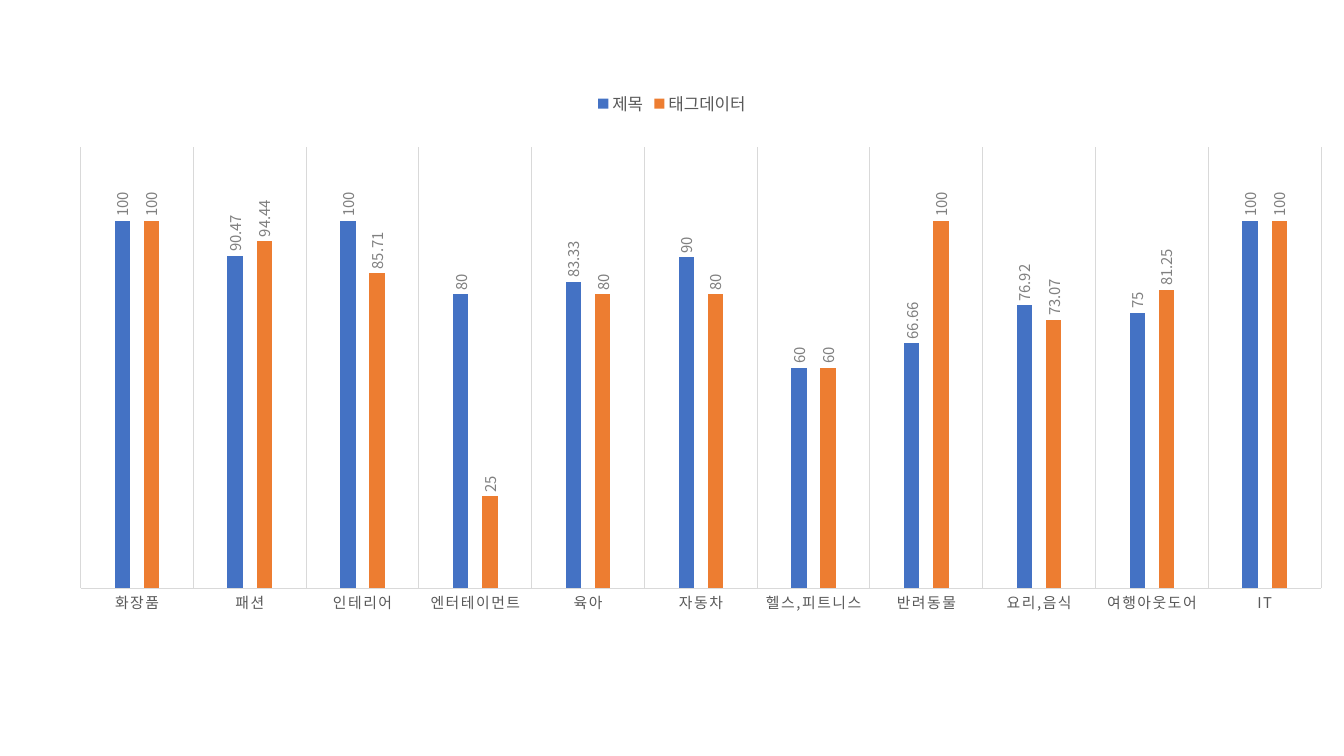
from pptx import Presentation
from pptx.chart.data import CategoryChartData
from pptx.dml.color import RGBColor
from pptx.enum.chart import XL_CHART_TYPE, XL_LABEL_POSITION, XL_LEGEND_POSITION, XL_TICK_MARK
from pptx.oxml import parse_xml
from pptx.oxml.ns import nsdecls, qn
from pptx.util import Inches, Pt

CATEGORIES = ["화장품", "패션", "인테리어", "엔터테이먼트", "육아", "자동차",
              "헬스,피트니스", "반려동물", "요리,음식", "여행아웃도어", "IT"]
BLUE = RGBColor(0x44, 0x72, 0xC4)
ORANGE = RGBColor(0xED, 0x7D, 0x31)
SERIES = [
    ("제목", BLUE, [100, 90.47, 100, 80, 83.33, 90, 60, 66.66, 76.92, 75, 100]),
    ("태그데이터", ORANGE, [100, 94.44, 85.71, 25, 80, 80, 60, 100, 73.07, 81.25, 100]),
]
PLOT_AREA = {"x": 0.06, "y": 0.113, "w": 0.923, "h": 0.738}

FONT = "Noto Sans CJK KR"
BLACK = RGBColor(0, 0, 0)
DARK_GRAY = RGBColor(0x59, 0x59, 0x59)
MID_GRAY = RGBColor(0x80, 0x80, 0x80)
LIGHT_GRAY = RGBColor(0xD9, 0xD9, 0xD9)
CLUSTERED = XL_CHART_TYPE.COLUMN_CLUSTERED
OUTSIDE_END = XL_LABEL_POSITION.OUTSIDE_END
TOP = XL_LEGEND_POSITION.TOP
NO_TICK = XL_TICK_MARK.NONE


def set_font(font, size, color):
    font.name = FONT
    font.size = Pt(size)
    font.bold = False
    font.color.rgb = color


def set_line(line):
    line.color.rgb = LIGHT_GRAY
    line.width = Pt(0.75)


def place_plot(chart):
    area = chart._chartSpace.chart.plotArea
    for old in area.findall(qn("c:layout")):
        area.remove(old)
    modes = '<c:xMode val="edge"/><c:yMode val="edge"/>'
    sizes = "".join(f'<c:{k} val="{v}"/>' for k, v in PLOT_AREA.items())
    area.insert(0, parse_xml(
        f'<c:layout {nsdecls("c")}><c:manualLayout><c:layoutTarget val="inner"/>'
        f'{modes}{sizes}</c:manualLayout></c:layout>'))


def style_series(series, color):
    series.format.fill.solid()
    series.format.fill.fore_color.rgb = color
    series.invert_if_negative = False
    labels = series.data_labels
    labels.show_value = True
    labels.position = OUTSIDE_END
    set_font(labels.font, 10.6, MID_GRAY)
    body = next(labels._element.iter(qn("a:bodyPr")))
    body.set("rot", "-5400000")
    body.set("vert", "horz")


def style_axes(chart):
    axis = chart.category_axis
    axis.has_major_gridlines = True
    axis.major_tick_mark = axis.minor_tick_mark = NO_TICK
    set_line(axis.major_gridlines.format.line)
    set_line(axis.format.line)
    set_font(axis.tick_labels.font, 10.6, DARK_GRAY)
    next(axis._element.iter(qn("a:defRPr"))).set("spc", "120")
    values = chart.value_axis
    values.minimum_scale, values.maximum_scale = 0, 120
    values.has_major_gridlines = False
    values.visible = False


prs = Presentation()
prs.slide_width, prs.slide_height = Inches(13.33), Inches(7.5)
s = prs.slides.add_slide(prs.slide_layouts[6])

data = CategoryChartData()
data.categories = CATEGORIES
for name, _, values in SERIES:
    data.add_series(name, values)
chart = s.shapes.add_chart(CLUSTERED, Inches(0), Inches(0.79),
                           Inches(13.33), Inches(5.93), data).chart
chart.has_title = False
set_font(chart.font, 10, BLACK)
place_plot(chart)

plot = chart.plots[0]
plot.gap_width = 444
plot.overlap = -90
plot.vary_by_categories = False
for series, (_, color, _) in zip(plot.series, SERIES):
    style_series(series, color)
style_axes(chart)

chart.has_legend = True
chart.legend.position = TOP
chart.legend.include_in_layout = False
set_font(chart.legend.font, 12, DARK_GRAY)

for props in chart._chartSpace.iter(qn("a:defRPr")):
    props.append(parse_xml(f'<a:ea {nsdecls("a")} typeface="{FONT}"/>'))

prs.save("out.pptx")
